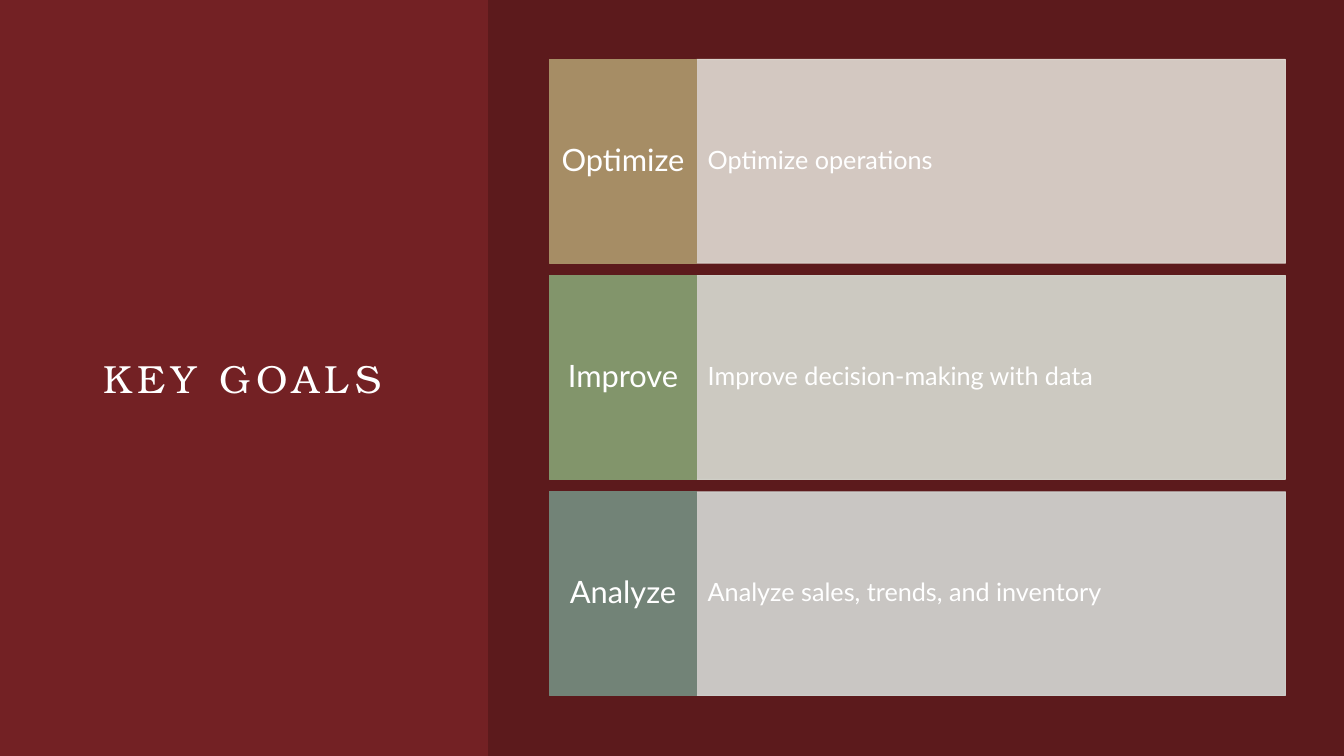
"""Build the key goals slide: a title beside three goal rows."""
from lxml import etree
from pptx import Presentation
from pptx.dml.color import RGBColor
from pptx.enum.shapes import MSO_SHAPE
from pptx.enum.text import MSO_ANCHOR, PP_ALIGN
from pptx.oxml.ns import qn
from pptx.util import Inches, Pt

RECTANGLE = MSO_SHAPE.RECTANGLE
MIDDLE = MSO_ANCHOR.MIDDLE
LEFT = PP_ALIGN.LEFT
CENTER = PP_ALIGN.CENTER

WINE = RGBColor(0x73, 0x21, 0x24)
BLACK = RGBColor(0x00, 0x00, 0x00)
WHITE = RGBColor(0xFF, 0xFF, 0xFF)
TAN = RGBColor(0xA6, 0x8D, 0x65)
PALE_TAN = RGBColor(0xE1, 0xDB, 0xD3)
GREEN = RGBColor(0x82, 0x95, 0x6B)
PALE_GREEN = RGBColor(0xD9, 0xDD, 0xD4)
TEAL = RGBColor(0x72, 0x83, 0x77)
PALE_TEAL = RGBColor(0xD5, 0xD9, 0xD6)

SLIDE_WIDTH, SLIDE_HEIGHT = 13.33, 7.5
PANEL_LEFT = 4.84
GRID_LEFT, GRID_TOP, GRID_WIDTH, GRID_HEIGHT = 5.45, 0.59, 7.3, 6.31
LABEL_WIDTH = GRID_WIDTH / 5
ROW_HEIGHT = 2.02

TITLE_STYLE = {
    "font": {"name": "TeX Gyre Bonum", "size": Pt(28)},
    "paragraph": {"alignment": CENTER},
    "margins": (0, 0),
}
LABEL_STYLE = {
    "font": {"name": "Lato", "size": Pt(22)},
    "paragraph": {"alignment": CENTER, "line_spacing": 0.9},
    "margins": (0.08, 0.2),
}
DETAIL_STYLE = {
    "font": {"name": "Lato", "size": Pt(18)},
    "paragraph": {"alignment": LEFT, "line_spacing": 0.9},
    "margins": (0.11, 0.51),
}

GOALS = [
    ("Optimize", "Optimize operations", TAN, PALE_TAN),
    ("Improve", "Improve decision-making with data", GREEN, PALE_GREEN),
    ("Analyze", "Analyze sales, trends, and inventory", TEAL, PALE_TEAL),
]


def set_attributes(target, values):
    """Set each named value on the target."""
    for name, value in values.items():
        setattr(target, name, value)


def set_opacity(shape, percent):
    """Make the fill and any line of the shape partly transparent."""
    for color in shape.fill._xPr.iter(qn("a:srgbClr")):
        etree.SubElement(color, qn("a:alpha"), val=str(percent * 1000))


def write_text(shape, text, style):
    """Write one vertically centred white paragraph in the given style."""
    frame = shape.text_frame
    across, down = (Inches(margin) for margin in style["margins"])
    set_attributes(frame, {
        "word_wrap": True, "vertical_anchor": MIDDLE,
        "margin_left": across, "margin_right": across,
        "margin_top": down, "margin_bottom": down,
    })
    paragraph = frame.paragraphs[0]
    run = paragraph.add_run()
    run.text = text
    set_attributes(paragraph, style["paragraph"])
    set_attributes(run.font, style["font"])
    run.font.color.rgb = WHITE
    return run


def add_block(shapes, box, color, outlined=True):
    """Add a flat rectangle, outlined in its own colour if asked."""
    shape = shapes.add_shape(RECTANGLE, *map(Inches, box))
    shape.shadow.inherit = False
    shape.fill.solid()
    shape.fill.fore_color.rgb = color
    if outlined:
        shape.line.color.rgb = color
        shape.line.width = Pt(0.75)
    else:
        shape.line.fill.background()
    return shape


def add_title(slide, text):
    """Add the widely spaced title on the left."""
    box = slide.shapes.add_textbox(*map(Inches, (0.59, 1.18, 3.63, 5.13)))
    run = write_text(box, text, TITLE_STYLE)
    run.font._element.set("spc", "400")


def add_goal(shapes, top, goal):
    """Add one goal row: a pale detail block and a coloured label."""
    label, detail, color, pale_color = goal
    detail_box = (GRID_LEFT + LABEL_WIDTH, top, GRID_WIDTH - LABEL_WIDTH, ROW_HEIGHT)
    detail_block = add_block(shapes, detail_box, pale_color)
    set_opacity(detail_block, 90)
    write_text(detail_block, detail, DETAIL_STYLE)
    label_block = add_block(shapes, (GRID_LEFT, top, LABEL_WIDTH, ROW_HEIGHT), color)
    write_text(label_block, label, LABEL_STYLE)


def main():
    """Build and save the presentation."""
    presentation = Presentation()
    presentation.slide_width = Inches(SLIDE_WIDTH)
    presentation.slide_height = Inches(SLIDE_HEIGHT)
    slide = presentation.slides.add_slide(presentation.slide_layouts[6])
    slide.background.fill.solid()
    slide.background.fill.fore_color.rgb = WINE
    add_title(slide, "KEY GOALS")
    panel_box = (PANEL_LEFT, 0, SLIDE_WIDTH - PANEL_LEFT, SLIDE_HEIGHT)
    set_opacity(add_block(slide.shapes, panel_box, BLACK, outlined=False), 20)
    group = slide.shapes.add_group_shape()
    row_pitch = (GRID_HEIGHT - ROW_HEIGHT) / (len(GOALS) - 1)
    for row, goal in enumerate(GOALS):
        add_goal(group.shapes, GRID_TOP + row * row_pitch, goal)
    presentation.save("out.pptx")


if __name__ == "__main__":
    main()
